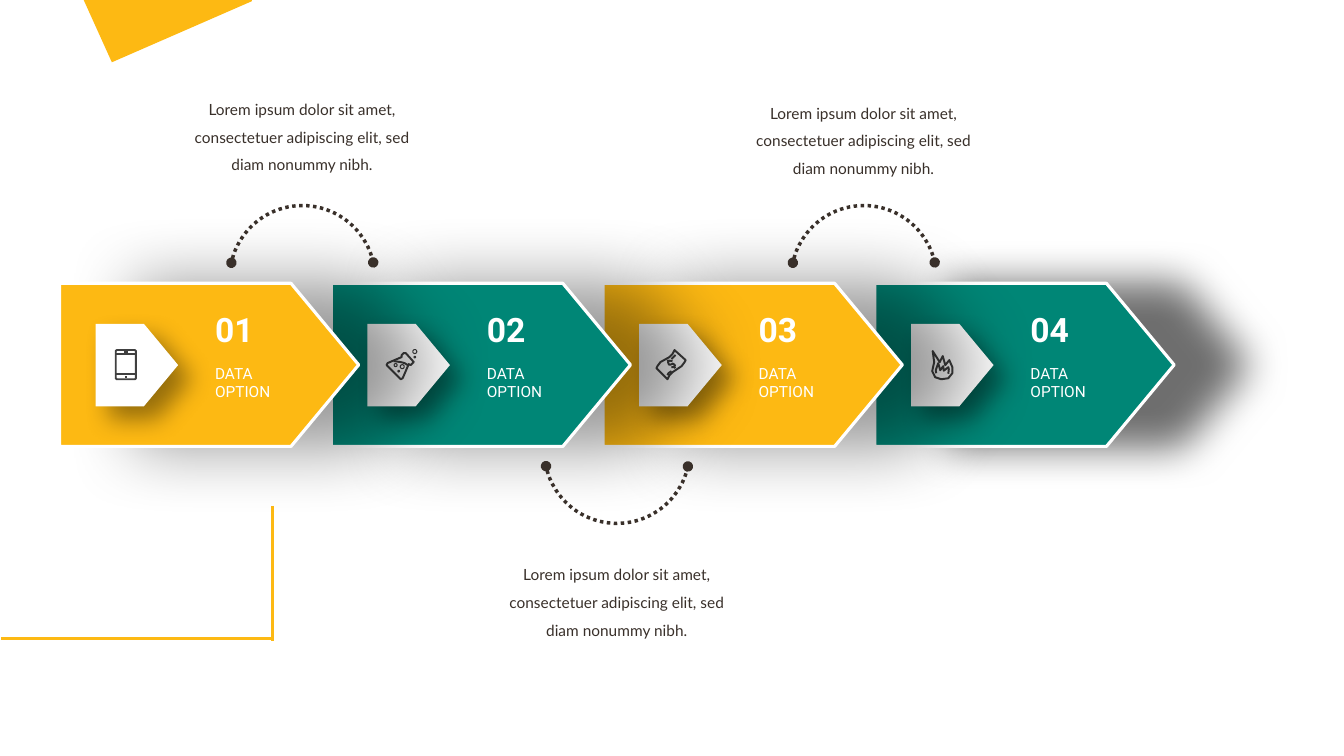
from lxml import etree
from pptx import Presentation
from pptx.dml.color import RGBColor
from pptx.enum.dml import MSO_LINE
from pptx.enum.shapes import MSO_CONNECTOR, MSO_SHAPE
from pptx.enum.text import MSO_AUTO_SIZE, PP_ALIGN
from pptx.oxml.ns import qn
from pptx.util import Cm, Pt

# Content
YELLOW, GREEN, WHITE, DARK, ICON = "FDB913", "008676", "FFFFFF", "39302A", "404040"
LOREM = "Lorem ipsum dolor sit amet, consectetuer adipiscing elit, sed diam nonummy nibh."

# Icon strokes (points, closed) and rings (x, y, radius, filled), in ICON_UNIT steps from the tag corner
PHONE = {"strokes": [
    ([(21, 26), (39, 26), (40, 27), (40, 54), (39, 55), (21, 55), (20, 54), (20, 27)], True),
    ([(20, 30), (40, 30)], False), ([(20, 50), (40, 50)], False),
    ([(28, 28), (32, 28)], False), ([(29, 53), (31, 53)], False)], "rings": []}
FLASK = {"strokes": [
    ([(34, 33), (20, 39), (19, 41), (33, 55), (35, 54), (41, 40), (43, 41), (46, 38),
      (38, 29), (36, 29), (34, 31)], True),
    ([(26, 37), (33, 38), (37, 39), (40, 41)], False)],
    "rings": [(34.5, 42.5, 2, False), (47, 27.5, 2, False), (28, 41, 1.5, False),
              (31, 47, 0.8, True), (47, 33, 0.8, True)]}
BANKNOTE = {"strokes": [
    ([(35, 26), (33, 30), (30, 33), (21, 38), (18, 42), (17, 44), (27, 54), (28, 55),
      (30, 51), (33, 48), (42, 42), (45, 38), (46, 36), (36, 27)], True),
    ([(33, 37), (30, 36.5), (28.5, 38), (29.5, 40.5), (31, 40.5), (33.5, 39.5),
      (35.5, 41), (34.5, 43), (32, 43)], False),
    ([(28, 36), (29.5, 37.5)], False), ([(34.5, 42.5), (36, 44)], False),
    ([(28, 51), (29, 49), (32, 47)], False), ([(32, 35), (34, 33), (36, 31)], False)], "rings": []}
FLAME = {"strokes": [
    ([(21.5, 27), (28.5, 38), (31.5, 32), (34, 41), (38, 36), (41, 43), (41, 49), (37, 54),
      (30, 55), (24, 53), (21, 47), (23, 38)], True),
    ([(25, 49), (24.5, 46), (27, 39), (29, 46), (32, 42), (32.5, 46.5), (37, 43),
      (37.5, 45), (37, 49.5)], False)], "rings": []}

# Shadows: opacity %, blur pt, distance pt, angle
WIDE, TIGHT, TAG_SHADOW = (40, 50, 53, 0), (56, 30, 53, 0), (40, 18, 13, 45)
STEPS = [("01", YELLOW, PHONE, WIDE), ("02", GREEN, FLASK, WIDE),
         ("03", YELLOW, BANKNOTE, WIDE), ("04", GREEN, FLAME, TIGHT)]

# Arc left, arc top, flipped, note left, note top (cm)
NOTES = [(5.79, 5.18, False, 4.39, 2.16), (19.94, 5.18, False, 18.54, 2.26),
         (13.72, 9.53, True, 12.32, 13.89)]

NUMBER = {"name": "Roboto", "size": Pt(24), "bold": True}
OPTION = {"name": "Roboto", "size": Pt(11)}
NOTE = {"name": "Lato", "size": Pt(11)}

# Layout (cm)
ARROW_LEFT, ARROW_TOP, ARROW_WIDTH, ARROW_HEIGHT, PITCH = 1.5, 7.14, 7.54, 4.11, 6.85
TAG_DX, TAG_DY, TAG_SIZE, TEXT_DX = 0.91, 1.02, 2.08, 3.67
POINT_RATIO, ICON_UNIT, ICON_STROKE = 0.415, 0.0254, 1.4


def rgb(value):
    return RGBColor.from_string(value)


def style(shape, fill=None, line=None, width=2.25):
    shape.shadow.inherit = False
    if fill:
        shape.fill.solid()
        shape.fill.fore_color.rgb = rgb(fill)
    else:
        shape.fill.background()
    if line:
        shape.line.color.rgb = rgb(line)
        shape.line.width = Pt(width)
    else:
        shape.line.fill.background()


def add_shadow(shape, opacity, blur, distance, angle):
    effects = shape._element.spPr.find(qn("a:effectLst"))
    shadow = etree.SubElement(effects, qn("a:outerShdw"), blurRad=str(Pt(blur)),
                              dist=str(Pt(distance)), dir=str(angle * 60000),
                              algn="ctr", rotWithShape="0")
    color = etree.SubElement(shadow, qn("a:srgbClr"), val="000000")
    etree.SubElement(color, qn("a:alpha"), val=str(opacity * 1000))


def add_pentagon(shapes, left, top, width, height, fill, shadow, line=None):
    shape = shapes.add_shape(MSO_SHAPE.PENTAGON, Cm(left), Cm(top), Cm(width), Cm(height))
    shape.adjustments[0] = POINT_RATIO
    style(shape, fill, line)
    add_shadow(shape, *shadow)


def add_text(shapes, text, left, top, width, height, font, color, **paragraph_format):
    box = shapes.add_textbox(Cm(left), Cm(top), Cm(width), Cm(height))
    frame = box.text_frame
    frame.word_wrap = True
    frame.auto_size = MSO_AUTO_SIZE.SHAPE_TO_FIT_TEXT
    paragraph = frame.paragraphs[0]
    for name, value in paragraph_format.items():
        setattr(paragraph, name, value)
    run = paragraph.add_run()
    run.text = text
    for name, value in font.items():
        setattr(run.font, name, value)
    run.font.color.rgb = rgb(color)


def add_polygon(shapes, points, closed=True):
    (x, y), *rest = [(Cm(px), Cm(py)) for px, py in points]
    builder = shapes.build_freeform(x, y)
    builder.add_line_segments(rest, close=closed)
    return builder.convert_to_shape()


def add_icon(shapes, icon, left, top):
    for points, closed in icon["strokes"]:
        placed = [(left + x * ICON_UNIT, top + y * ICON_UNIT) for x, y in points]
        style(add_polygon(shapes, placed, closed), line=ICON, width=ICON_STROKE)
    for x, y, radius, filled in icon["rings"]:
        size = Cm(2 * radius * ICON_UNIT)
        ring = shapes.add_shape(MSO_SHAPE.OVAL, Cm(left + (x - radius) * ICON_UNIT),
                                Cm(top + (y - radius) * ICON_UNIT), size, size)
        style(ring, ICON if filled else None, ICON, 0.75)


def add_step(slide, index, number, color, icon, shadow):
    shapes = slide.shapes.add_group_shape().shapes
    left = ARROW_LEFT + index * PITCH
    add_pentagon(shapes, left, ARROW_TOP, ARROW_WIDTH, ARROW_HEIGHT, color, shadow, WHITE)
    tag_left, tag_top = left + TAG_DX, ARROW_TOP + TAG_DY
    add_pentagon(shapes, tag_left, tag_top, TAG_SIZE, TAG_SIZE, WHITE, TAG_SHADOW)
    add_icon(shapes, icon, tag_left, tag_top)
    add_text(shapes, number, left + TEXT_DX, ARROW_TOP + 0.53, 1.98, 1.27, NUMBER, WHITE)
    add_text(shapes, "DATA OPTION", left + TEXT_DX, ARROW_TOP + 1.9, 2.16, 1.19, OPTION, WHITE)


def add_dotted_arc(slide, left, top, flipped):
    arc = slide.shapes.add_shape(MSO_SHAPE.ARC, Cm(left), Cm(top), Cm(3.66), Cm(3.66))
    arc.adjustments[0], arc.adjustments[1] = 115.337, 208.509
    style(arc, line=DARK, width=2.5)
    arc.line.dash_style = MSO_LINE.ROUND_DOT
    properties = arc._element.spPr
    for end in ("a:headEnd", "a:tailEnd"):
        etree.SubElement(properties.find(qn("a:ln")), qn(end), type="oval")
    if flipped:
        properties.find(qn("a:xfrm")).set("flipV", "1")


def add_line(slide, x1, y1, x2, y2):
    line = slide.shapes.add_connector(MSO_CONNECTOR.STRAIGHT, Cm(x1), Cm(y1), Cm(x2), Cm(y2))
    line.line.color.rgb = rgb(YELLOW)
    line.line.width = Pt(2.25)
    etree.SubElement(line._element.spPr, qn("a:effectLst"))


def main():
    presentation = Presentation()
    presentation.slide_width, presentation.slide_height = Cm(33.87), Cm(19.05)
    slide = presentation.slides.add_slide(presentation.slide_layouts[6])

    # Corner decoration
    style(add_polygon(slide.shapes, [(2.82, 1.57), (6.35, 0.03), (6.35, 0), (2.11, 0)]), YELLOW)
    add_line(slide, 6.86, 12.75, 6.86, 16.15)

    # Arrows, last one at the back
    for index, step in reversed(list(enumerate(STEPS))):
        add_step(slide, index, *step)

    # Arcs and notes
    for arc_left, arc_top, flipped, note_left, note_top in NOTES:
        add_dotted_arc(slide, arc_left, arc_top, flipped)
        add_text(slide.shapes, LOREM, note_left, note_top, 6.45, 2.29, NOTE, DARK,
                 alignment=PP_ALIGN.CENTER, line_spacing=1.5)
    add_line(slide, 0.03, 16.1, 6.86, 16.1)

    presentation.save("out.pptx")


if __name__ == "__main__":
    main()
